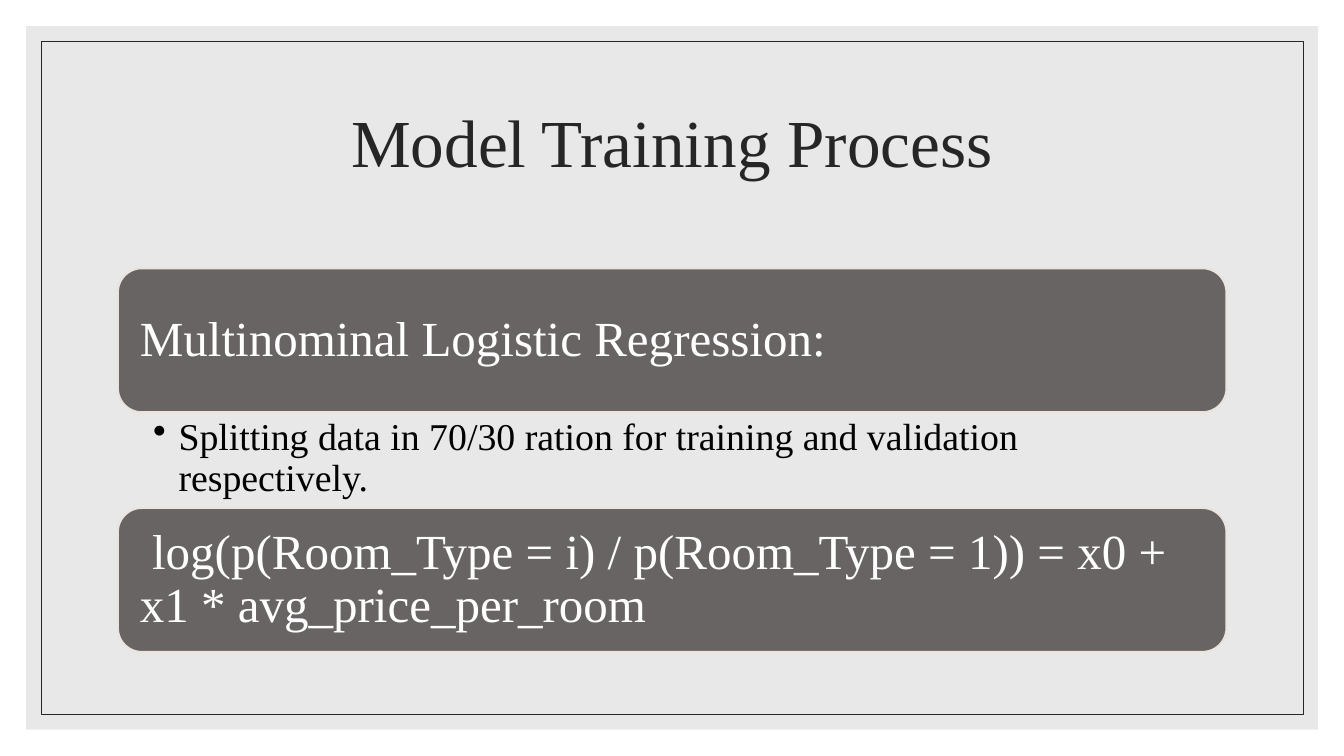
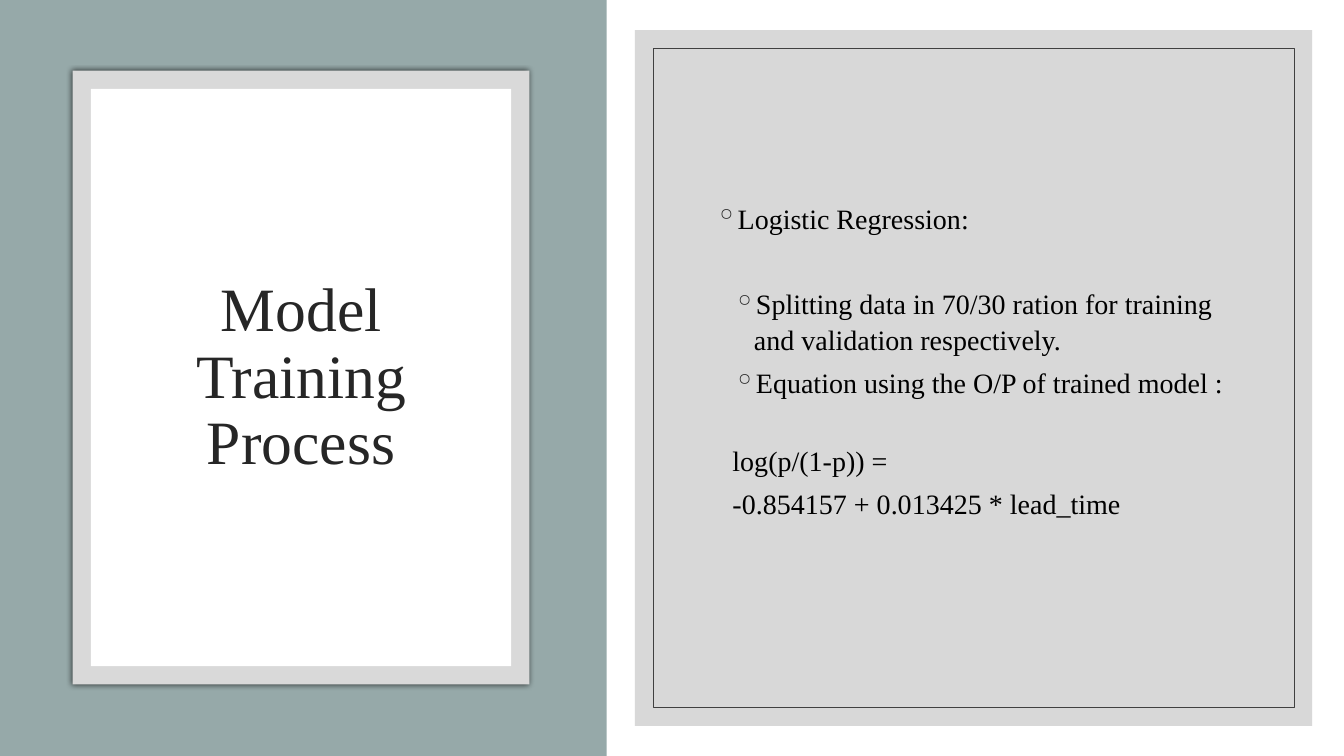
from lxml import etree
from pptx import Presentation
from pptx import util as u
from pptx.dml.color import RGBColor
from pptx.enum import shapes, text
from pptx.oxml.ns import qn

# Content
TITLE = "Model Training Process"
SPLIT = "Splitting data in 70/30 ration for training and validation respectively."
CARDS = [
    "Multinominal Logistic Regression:",
    " log(p(Room_Type = i) / p(Room_Type = 1)) = x0 + x1 * avg_price_per_room",
]
# text, bullet, left margin and first-line indent in cm, space before in points
STEPS = [
    ("Logistic Regression:", "◦", 0, -0.51, 0),
    (SPLIT, "◦", 0.97, -0.51, 30),
    ("Equation using the O/P of trained model :", "◦", 0.97, -0.51, 0),
    ("log(p/(1-p)) =", None, 0.43, 0, 24),
    ("-0.854157 + 0.013425 * lead_time", None, 0.43, 0, 0),
]

# Shared style
FONT = "Times New Roman"
COLORS = {
    "white": "FFFFFF", "black": "000000", "ink": "262626", "rule": "404040",
    "pale": "D9D9D9", "grey": "BFBFBF", "sage": "96A9A9",
    "card": "696464", "edge": "E9E5DC",
}
RECT = shapes.MSO_SHAPE.RECTANGLE
ROUND = shapes.MSO_SHAPE.ROUNDED_RECTANGLE
MIDDLE, TOP = text.MSO_ANCHOR.MIDDLE, text.MSO_ANCHOR.TOP
LEFT, CENTER = text.PP_ALIGN.LEFT, text.PP_ALIGN.CENTER
INSETS = (0.25, 0.13, 0.25, 0.13)


def rgb(name):
    return RGBColor.from_string(COLORS[name])


def add_xml(parent, tag, **attrs):
    return etree.SubElement(parent, qn(tag), {k: str(v) for k, v in attrs.items()})


def set_all(obj, values):
    for name, value in values.items():
        setattr(obj, name, value)


def add_box(slide, at, fill=None, alpha=None, line=None, width=0.5, kind=RECT):
    sp = slide.shapes.add_shape(kind, *map(u.Cm, at))
    sp.shadow.inherit = False
    if fill:
        sp.fill.solid()
        sp.fill.fore_color.rgb = rgb(fill)
        if alpha:
            color = sp.fill._xPr.find(qn("a:solidFill"))[0]
            add_xml(color, "a:alpha", val=alpha * 1000)
    else:
        sp.fill.background()
    if line:
        sp.line.color.rgb = rgb(line)
        sp.line.width = u.Pt(width)
    else:
        sp.line.fill.background()
    return sp


def add_shadow(sp, blur, alpha):
    effects = sp._element.spPr.find(qn("a:effectLst"))
    outer = add_xml(effects, "a:outerShdw", blurRad=u.Pt(blur), dist=0,
                    algn="ctr", rotWithShape=0)
    color = add_xml(outer, "a:srgbClr", val=COLORS["black"])
    add_xml(color, "a:alpha", val=alpha * 1000)


def set_frame(sp, anchor=MIDDLE, insets=INSETS):
    tf = sp.text_frame
    sides = ("margin_left", "margin_top", "margin_right", "margin_bottom")
    set_all(tf, dict(zip(sides, map(u.Cm, insets))))
    set_all(tf, {"word_wrap": True, "vertical_anchor": anchor})
    return tf


def add_text_box(slide, at, **frame):
    return set_frame(slide.shapes.add_textbox(*map(u.Cm, at)), **frame)


def write(p, words, size, color, bullet=None, bullet_color=None,
          margin=0, indent=0, **paragraph):
    set_all(p, paragraph)
    pPr = p._p.get_or_add_pPr()
    pPr.set("marL", str(u.Cm(margin)))
    pPr.set("indent", str(u.Cm(indent)))
    if bullet:
        if bullet_color:
            add_xml(add_xml(pPr, "a:buClr"), "a:srgbClr", val=COLORS[bullet_color])
        add_xml(pPr, "a:buChar", char=bullet)
    r = p.add_run()
    r.text = words
    set_all(r.font, {"name": FONT, "size": u.Pt(size)})
    r.font.color.rgb = rgb(color)


def add_title(slide, at, size):
    tf = add_text_box(slide, at)
    write(tf.paragraphs[0], TITLE, size, "ink", alignment=CENTER, line_spacing=0.9)


def add_panel(slide, at, gap, fill, line):
    """Translucent panel with a thin rule set inside it."""
    x, y, w, h = at
    add_box(slide, at, fill=fill, alpha=60)
    add_box(slide, (x + gap, y + gap, w - 2 * gap, h - 2 * gap), line=line)


def build_cards(slide):
    add_panel(slide, (0.66, 0.66, 32.56, 17.73), 0.38, "pale", "ink")
    add_title(slide, (2.97, 1.78, 27.94, 3.81), 48)
    x, y, w, card_h, note_h = 2.97, 6.76, 27.94, 3.63, 2.41
    for i, words in enumerate(CARDS):
        top = y + i * (card_h + note_h)
        sp = add_box(slide, (x, top, w, card_h), fill="card", line="edge",
                     width=1.5, kind=ROUND)
        tf = set_frame(sp, insets=(0.38,) * 4)
        write(tf.paragraphs[0], words, 35, "white", alignment=LEFT, line_spacing=0.9)
    # Note between the cards
    tf = add_text_box(slide, (x, y + card_h, w, note_h), anchor=TOP,
                      insets=(0.89, 0.13, 0.69, 0.13))
    write(tf.paragraphs[0], SPLIT, 27, "black", bullet="•",
          margin=0.64, indent=-0.64, line_spacing=0.9)


def build_steps(slide):
    # Framed title on the coloured half
    add_box(slide, (0, 0, 15.29, 19.05), fill="sage")
    frame = add_box(slide, (1.83, 1.78, 11.51, 15.47), fill="pale")
    add_shadow(frame, 4, 66)
    add_box(slide, (2.29, 2.24, 10.59, 14.55), fill="white")
    add_title(slide, (2.74, 3.3, 9.7, 12.47), 44)
    # Steps on the panel
    add_panel(slide, (16, 0.76, 17.07, 17.53), 0.46, "grey", "rule")
    tf = add_text_box(slide, (17.78, 2.59, 13.54, 13.84), anchor=TOP,
                      insets=(0.25, 2.44, 0.25, 0.13))
    for i, (words, bullet, margin, indent, before) in enumerate(STEPS):
        p = tf.add_paragraph() if i else tf.paragraphs[0]
        write(p, words, 20, "black", bullet, "ink", margin, indent,
              line_spacing=1.05, space_before=u.Pt(before), space_after=u.Pt(6))


def main():
    prs = Presentation()
    set_all(prs, {"slide_width": u.Cm(33.87), "slide_height": u.Cm(19.05)})
    for build in (build_cards, build_steps):
        build(prs.slides.add_slide(prs.slide_layouts[6]))
    prs.save("out.pptx")


if __name__ == "__main__":
    main()
